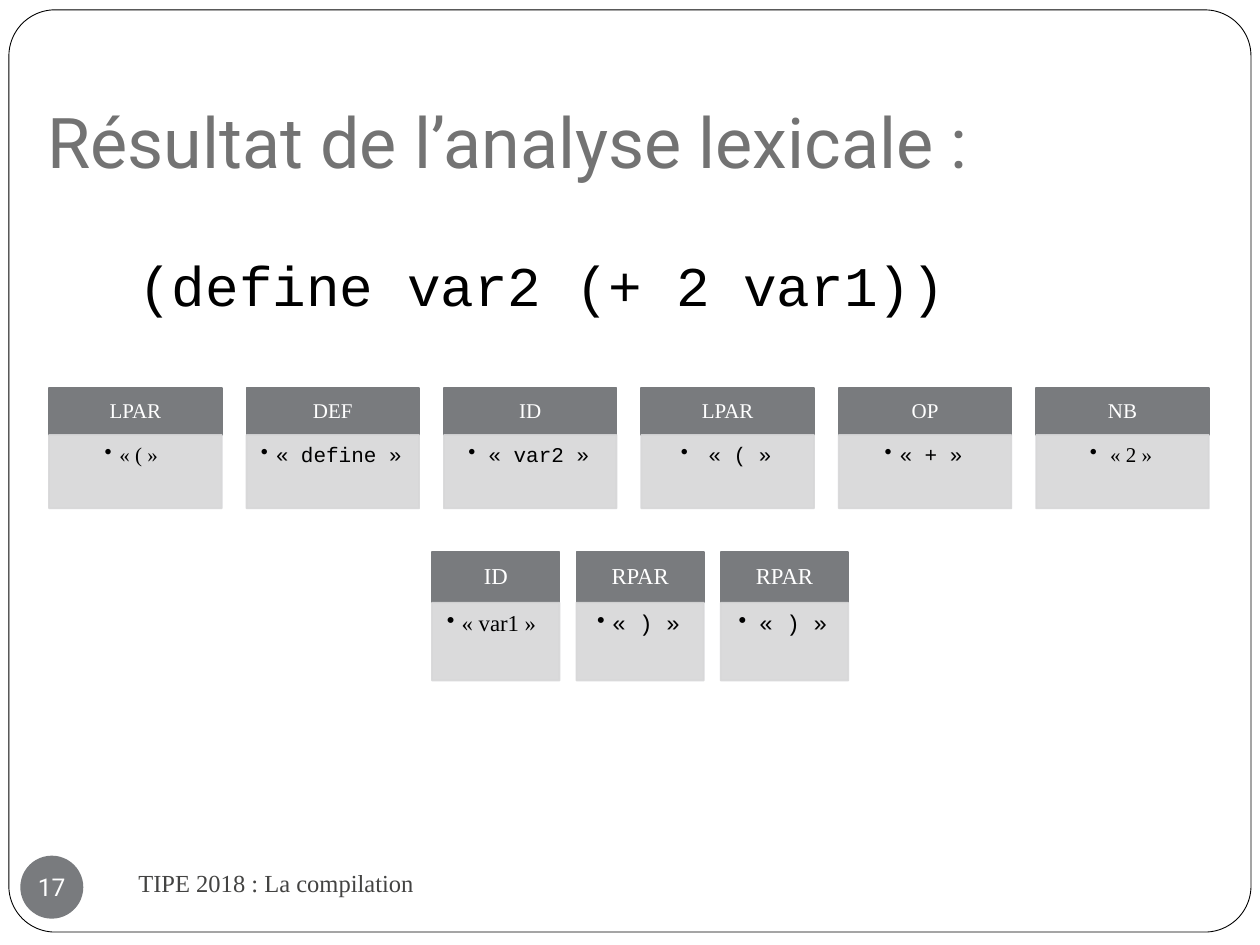
from lxml import etree
from pptx import Presentation
from pptx import util as u
from pptx.dml import color
from pptx.enum import shapes, text
from pptx.oxml import ns

SERIF, MONO, SANS = "Times New Roman", "Courier New", "Roboto"
DARK, LIGHT, WHITE, BLACK = "797B7E", "D7D7D8", "FFFFFF", "000000"
CENTER = text.PP_ALIGN.CENTER
TOP, MIDDLE, BOTTOM = text.MSO_ANCHOR.TOP, text.MSO_ANCHOR.MIDDLE, text.MSO_ANCHOR.BOTTOM
RECTANGLE = shapes.MSO_SHAPE.RECTANGLE
DEFAULT_INSETS = (0.25, 0.13, 0.25, 0.13)


def rgb(value):
    return color.RGBColor.from_string(value)


def set_alpha(shape, percent):
    for node in shape._element.spPr.iter(ns.qn("a:srgbClr")):
        etree.SubElement(node, ns.qn("a:alpha")).set("val", str(percent * 1000))


class SlideBuilder:
    def __init__(self, slide):
        self.slide = slide

    def shape(self, kind, box, fill, line=None, width=1, alpha=None):
        shape = self.slide.shapes.add_shape(kind, *map(u.Cm, box))
        shape.shadow.inherit = False
        shape.fill.solid()
        shape.fill.fore_color.rgb = rgb(fill)
        if line:
            shape.line.color.rgb = rgb(line)
            shape.line.width = u.Pt(width)
        else:
            shape.line.fill.background()
        if alpha:
            set_alpha(shape, alpha)
        return shape

    def label(self, shape, runs, size, ink, anchor=TOP, align=text.PP_ALIGN.LEFT,
              insets=DEFAULT_INSETS, wrap=True):
        frame = shape.text_frame
        frame.word_wrap = wrap
        frame.vertical_anchor = anchor
        frame.margin_left, frame.margin_top, frame.margin_right, frame.margin_bottom = map(u.Cm, insets)
        paragraph = frame.paragraphs[0]
        paragraph.alignment = align
        for content, font in runs:
            run = paragraph.add_run()
            run.text = content
            run.font.name = font
            run.font.size = u.Pt(size)
            run.font.color.rgb = rgb(ink)
        return paragraph

    def text(self, box, runs, size, ink, **options):
        shape = self.slide.shapes.add_textbox(*map(u.Cm, box))
        return self.label(shape, runs, size, ink, **options)

    def bullet(self, paragraph, indent):
        paragraph.level = 1
        properties = paragraph._p.get_or_add_pPr()
        properties.set("marL", str(u.Cm(indent)))
        properties.set("indent", str(-u.Cm(indent)))
        etree.SubElement(properties, ns.qn("a:buChar")).set("char", "•")

    def token(self, left, top, width, header, body, size, name, runs):
        title = self.shape(RECTANGLE, (left, top, width, header), DARK, DARK)
        paragraph = self.label(title, [(name, SERIF)], size, WHITE, anchor=MIDDLE, align=CENTER)
        paragraph.line_spacing = 0.9
        value = self.shape(RECTANGLE, (left, top + header, width, body), LIGHT, LIGHT, alpha=90)
        paragraph = self.label(value, runs, size, BLACK, align=CENTER, insets=(0.19, 0.19, 0.25, 0.26))
        paragraph.line_spacing = 0.9
        self.bullet(paragraph, 0.3)

    def token_row(self, left, top, pitch, width, header, body, size, tokens):
        for index, (name, runs) in enumerate(tokens):
            self.token(left + index * pitch, top, width, header, body, size, name, runs)


def main():
    presentation = Presentation()
    presentation.slide_width, presentation.slide_height = u.Cm(25.4), u.Cm(19.05)
    builder = SlideBuilder(presentation.slides.add_slide(presentation.slide_layouts[6]))

    border = builder.shape(shapes.MSO_SHAPE.ROUNDED_RECTANGLE, (0.18, 0.2, 25.04, 18.59),
                           WHITE, BLACK, 0.5)
    border.adjustments[0] = 0.05
    builder.text((2.54, 17.15, 11, 1.27), [("TIPE 2018 : La compilation", SERIF)], 14, "434342",
                 anchor=MIDDLE)
    badge = builder.shape(shapes.MSO_SHAPE.OVAL, (0.41, 17.25, 1.27, 1.27), DARK)
    builder.label(badge, [("17", SANS)], 14, WHITE, anchor=MIDDLE, align=CENTER,
                  insets=(0, 0, 0, 0), wrap=False)
    code = builder.text((2.54, 4.93, 21.59, 12.7), [("(define var2 (+ 2 var1))", MONO)], 32, BLACK)
    code.space_before = u.Pt(5.8)
    builder.text((0.71, 0.74, 24, 3.18), [("Résultat de l’analyse lexicale :", SANS)], 40, "737373",
                 anchor=BOTTOM, insets=(0.25, 0.13, 0.25, 0.25))

    builder.token_row(0.99, 7.82, 3.98, 3.48, 0.95, 1.48, 12, [
        ("LPAR", [("« ( » ", SERIF)]),
        ("DEF", [("« define »", MONO)]),
        ("ID", [(" ", SERIF), ("« var2 »", MONO)]),
        ("LPAR", [(" « ( »", MONO)]),
        ("OP", [("« + »", MONO)]),
        ("NB", [(" « 2 »", SERIF)]),
    ])
    builder.token_row(8.71, 11.13, 2.91, 2.57, 1.02, 1.57, 13, [
        ("ID", [("« var1 » ", SERIF)]),
        ("RPAR", [("« ) »", MONO)]),
        ("RPAR", [(" ", SERIF), ("« ) »", MONO)]),
    ])
    presentation.save("out.pptx")


if __name__ == "__main__":
    main()
